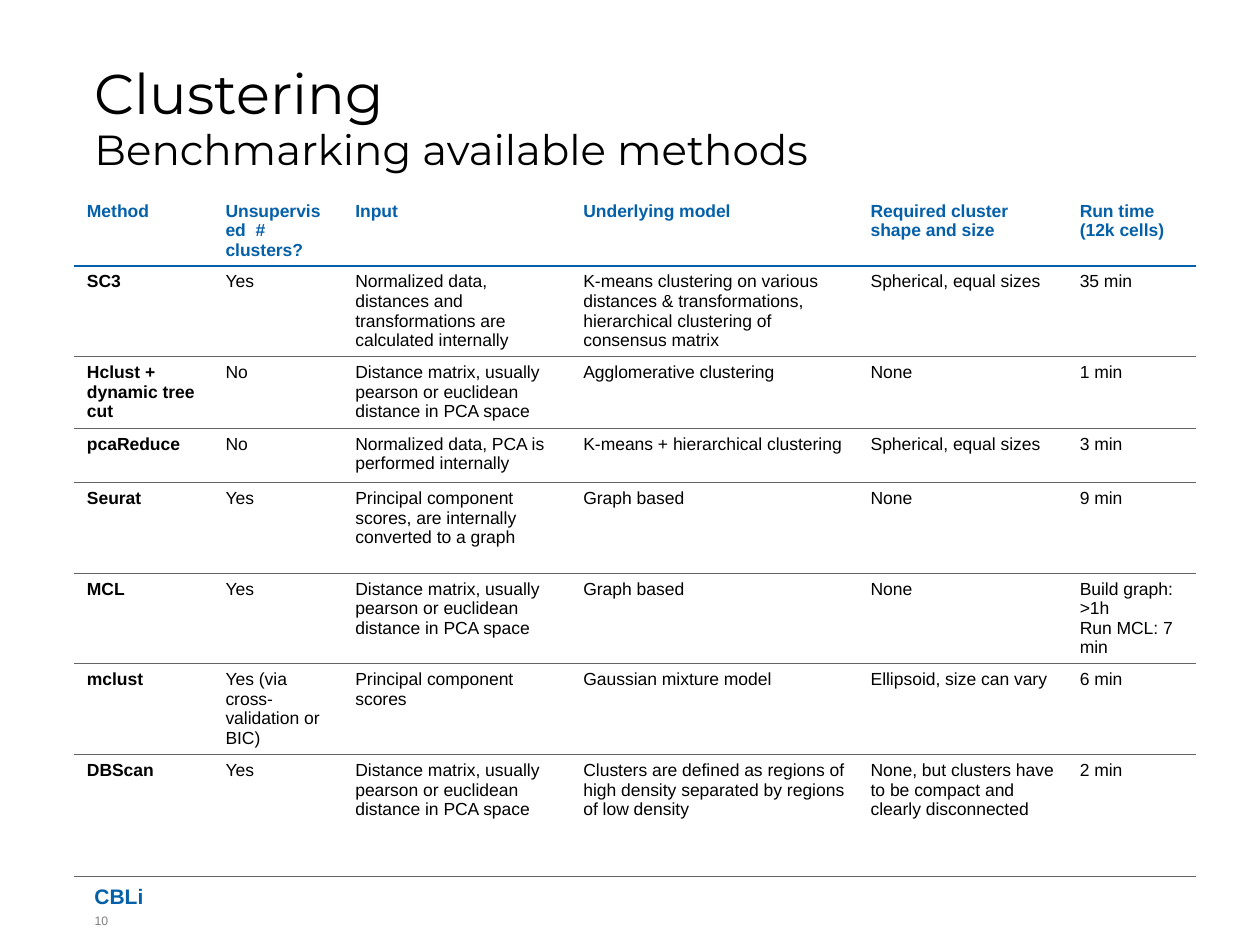
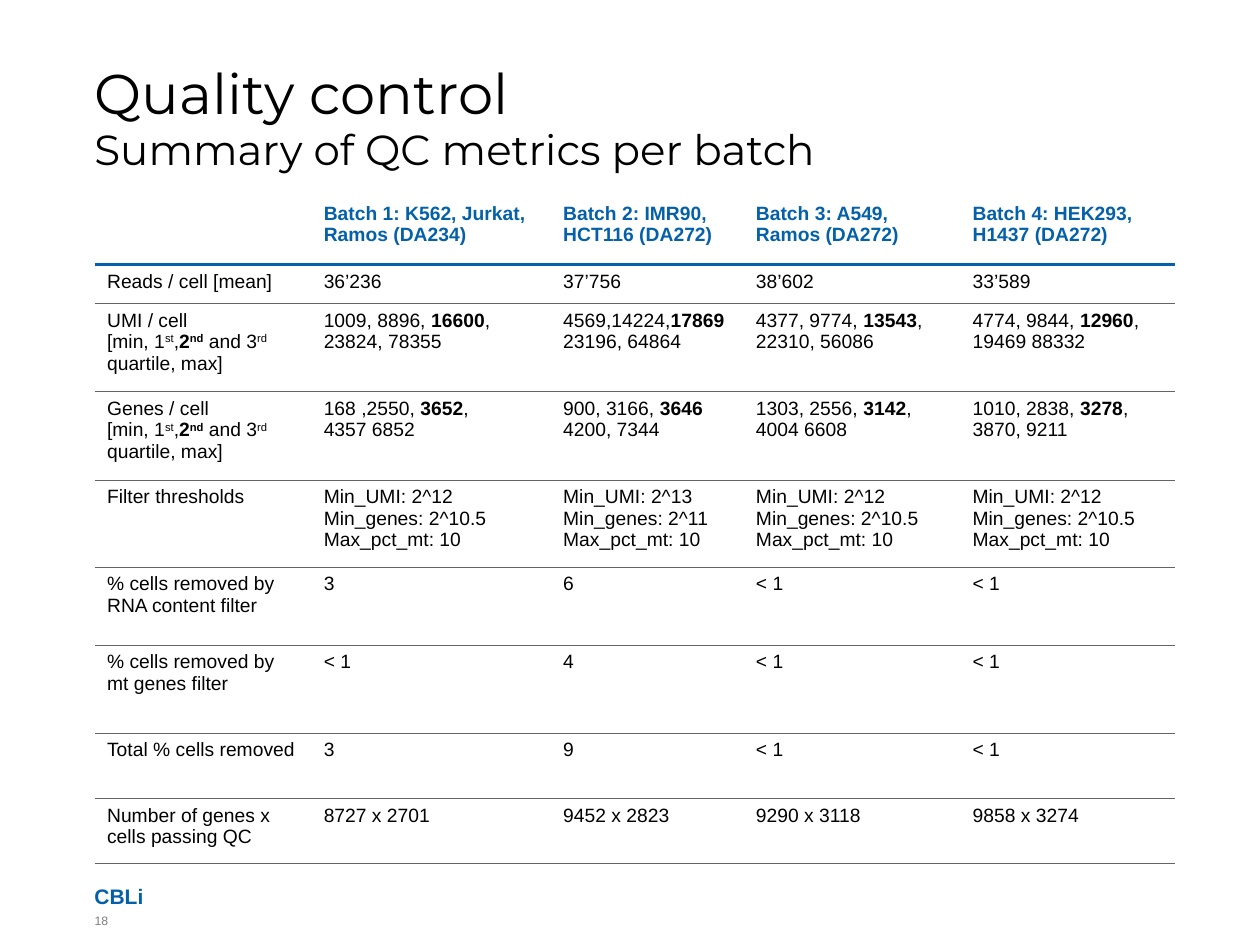
from lxml import etree
from pptx import Presentation
from pptx.dml.color import RGBColor
from pptx.enum.text import MSO_ANCHOR
from pptx.oxml.ns import qn
from pptx.util import Inches, Pt

TOP, BOTTOM = MSO_ANCHOR.TOP, MSO_ANCHOR.BOTTOM
BLACK = RGBColor(0x00, 0x00, 0x00)
BLUE = RGBColor(0x04, 0x60, 0xA9)
RULE_GRAY = RGBColor(0x64, 0x64, 0x64)
NUMBER_GRAY = RGBColor(0x7F, 0x7F, 0x7F)
TITLE_FONT, BODY_FONT = "Montserrat", "Arial"
NO_STYLE = "{2D5ABB26-0587-4C30-8999-92F81FD0307C}"
LEFT = 0.75
FOOTER = "CBLi"

# Cell markup: *bold*, ~superscript~, \n new paragraph, \v line break
DISTANCES = "Distance matrix, usually pearson or euclidean distance in PCA space"
QUARTILES = "\n[min, 1~st~,*2~nd~* and 3~rd~ quartile, max]"
THRESHOLDS = "Min_UMI: 2^{}\nMin_genes: 2^{}\nMax_pct_mt: 10"

SLIDES = [
    {
        "title": "Clustering",
        "subtitle": "Benchmarking available methods",
        "number": "10",
        "at": (0.59, 1.55),
        "size": 10,
        "bold_first_column": True,
        "cols": [1.1, 1.03, 1.81, 2.28, 1.66, 1.02],
        "rows": [0.56, 0.72, 0.57, 0.43, 0.72, 0.72, 0.72, 0.97],
        "cells": [
            ["Method", "Unsupervised  # clusters?", "Input", "Underlying model",
             "Required cluster shape and size", "Run time (12k cells)"],
            ["SC3", "Yes",
             "Normalized data, distances and transformations are calculated internally",
             "K-means clustering on various distances & transformations, "
             "hierarchical clustering of consensus matrix",
             "Spherical, equal sizes", "35 min"],
            ["Hclust + dynamic tree cut", "No", DISTANCES,
             "Agglomerative clustering", "None", "1 min"],
            ["pcaReduce", "No", "Normalized data, PCA is performed internally",
             "K-means + hierarchical clustering", "Spherical, equal sizes", "3 min"],
            ["Seurat", "Yes",
             "Principal component scores, are internally converted to a graph",
             "Graph based", "None", "9 min"],
            ["MCL", "Yes", DISTANCES, "Graph based", "None",
             "Build graph: >1h\nRun MCL: 7 min"],
            ["mclust", "Yes (via cross-validation or BIC)",
             "Principal component scores", "Gaussian mixture model",
             "Ellipsoid, size can vary", "6 min"],
            ["DBScan", "Yes", DISTANCES,
             "Clusters are defined as regions of high density separated by "
             "regions of low density",
             "None, but clusters have to be compact and clearly disconnected",
             "2 min"],
        ],
    },
    {
        "title": "Quality control",
        "subtitle": "Summary of QC metrics per batch",
        "number": "18",
        "at": (0.75, 1.56),
        "size": 11,
        "bold_first_column": False,
        "cols": [1.72, 1.9, 1.53, 1.72, 1.71],
        "rows": [0.54, 0.31, 0.7, 0.7, 0.69, 0.62, 0.7, 0.52, 0.51],
        "cells": [
            ["", "Batch 1: K562, Jurkat, Ramos (DA234)",
             "Batch 2: IMR90, HCT116 (DA272)", "Batch 3: A549, Ramos (DA272)",
             "Batch 4: HEK293, H1437 (DA272)"],
            ["Reads / cell [mean]", "36’236", "37’756", "38’602", "33’589"],
            ["UMI / cell" + QUARTILES, "1009, 8896, *16600*, 23824, 78355",
             "4569,14224,*17869* 23196, 64864", "4377, 9774, *13543*, 22310, 56086",
             "4774, 9844, *12960*, 19469 88332"],
            ["Genes / cell" + QUARTILES, "168 ,2550, *3652*,\v4357 6852",
             "900, 3166, *3646* 4200, 7344", "1303, 2556, *3142*, 4004 6608",
             "1010, 2838, *3278*, 3870, 9211"],
            ["Filter thresholds", THRESHOLDS.format(12, 10.5),
             THRESHOLDS.format(13, 11), THRESHOLDS.format(12, 10.5),
             THRESHOLDS.format(12, 10.5)],
            ["% cells removed by RNA content filter", "3", "6", "< 1", "< 1"],
            ["% cells removed by mt genes filter", "< 1", "4", "< 1", "< 1"],
            ["Total % cells removed", "3", "9", "< 1", "< 1"],
            ["Number of genes x cells passing QC", "8727 x 2701", "9452 x 2823",
             "9290 x 3118", "9858 x 3274"],
        ],
    },
]


def add_run(p, text, size, color, font=BODY_FONT, bold=False):
    r = p.add_run()
    r.text = text
    r.font.size = Pt(size)
    r.font.name = font
    r.font.bold = bold
    r.font.color.rgb = color
    return r


def add_text_box(slide, left, top, width, height, anchor=TOP):
    """Add a wrapping box without margins and return its first paragraph."""
    box = slide.shapes.add_textbox(Inches(left), Inches(top), Inches(width), Inches(height))
    tf = box.text_frame
    tf.word_wrap = True
    tf.vertical_anchor = anchor
    tf.margin_left = tf.margin_top = tf.margin_right = tf.margin_bottom = 0
    return tf.paragraphs[0]


def add_marked_text(p, text, size, color, bold):
    """Add runs, switching bold at each * and superscript at each ~."""
    for i, part in enumerate(text.split("*")):
        for j, piece in enumerate(part.split("~")):
            for k, line in enumerate(piece.split("\v")):
                if k:
                    p.add_line_break()
                if line:
                    r = add_run(p, line, size, color, bold=bold or i % 2 == 1)
                    if j % 2:
                        r.font._element.set("baseline", "30000")


def set_bottom_border(cell, color, width):
    ln = etree.Element(qn("a:lnB"), w=str(Pt(width)))
    fill = etree.SubElement(ln, qn("a:solidFill"))
    etree.SubElement(fill, qn("a:srgbClr"), val=str(color))
    cell._tc.get_or_add_tcPr().insert(0, ln)


def add_ruled_table(slide, data):
    cols, rows = data["cols"], data["rows"]
    left, top = data["at"]
    table = slide.shapes.add_table(len(rows), len(cols), Inches(left), Inches(top),
                                   Inches(sum(cols)), Inches(sum(rows))).table
    table.horz_banding = False
    table._tbl.tblPr.find(qn("a:tableStyleId")).text = NO_STYLE
    for column, width in zip(table.columns, cols):
        column.width = Inches(width)
    for i, (row, height) in enumerate(zip(table.rows, rows)):
        row.height = Inches(height)
        header = i == 0
        for j, (cell, text) in enumerate(zip(row.cells, data["cells"][i])):
            cell.fill.background()
            cell.margin_bottom = 0
            set_bottom_border(cell, BLUE if header else RULE_GRAY, 1.5 if header else 0.5)
            bold = header or (j == 0 and data["bold_first_column"])
            tf = cell.text_frame
            for k, line in enumerate(text.split("\n")):
                p = tf.add_paragraph() if k else tf.paragraphs[0]
                add_marked_text(p, line, data["size"], BLUE if header else BLACK, bold)


def add_frame(slide, data):
    """Add the footer, the two-line title and the slide number."""
    p = add_text_box(slide, LEFT, 6.96, 6.5, 0.25, BOTTOM)
    add_run(p, FOOTER, 12, BLUE, bold=True)
    p = add_text_box(slide, LEFT, 0.5, 8.5, 1.05)
    p.line_spacing = 0.95
    add_run(p, data["title"], 32, BLACK, TITLE_FONT)
    p.add_line_break()
    add_run(p, data["subtitle"], 24, BLACK, TITLE_FONT)
    p = add_text_box(slide, LEFT, 7.25, 0.25, 0.25)
    add_run(p, data["number"], 7, NUMBER_GRAY)


def main():
    prs = Presentation()
    prs.slide_width, prs.slide_height = Inches(10), Inches(7.5)
    for data in SLIDES:
        slide = prs.slides.add_slide(prs.slide_layouts[6])
        add_frame(slide, data)
        add_ruled_table(slide, data)
    prs.save("out.pptx")


if __name__ == "__main__":
    main()
